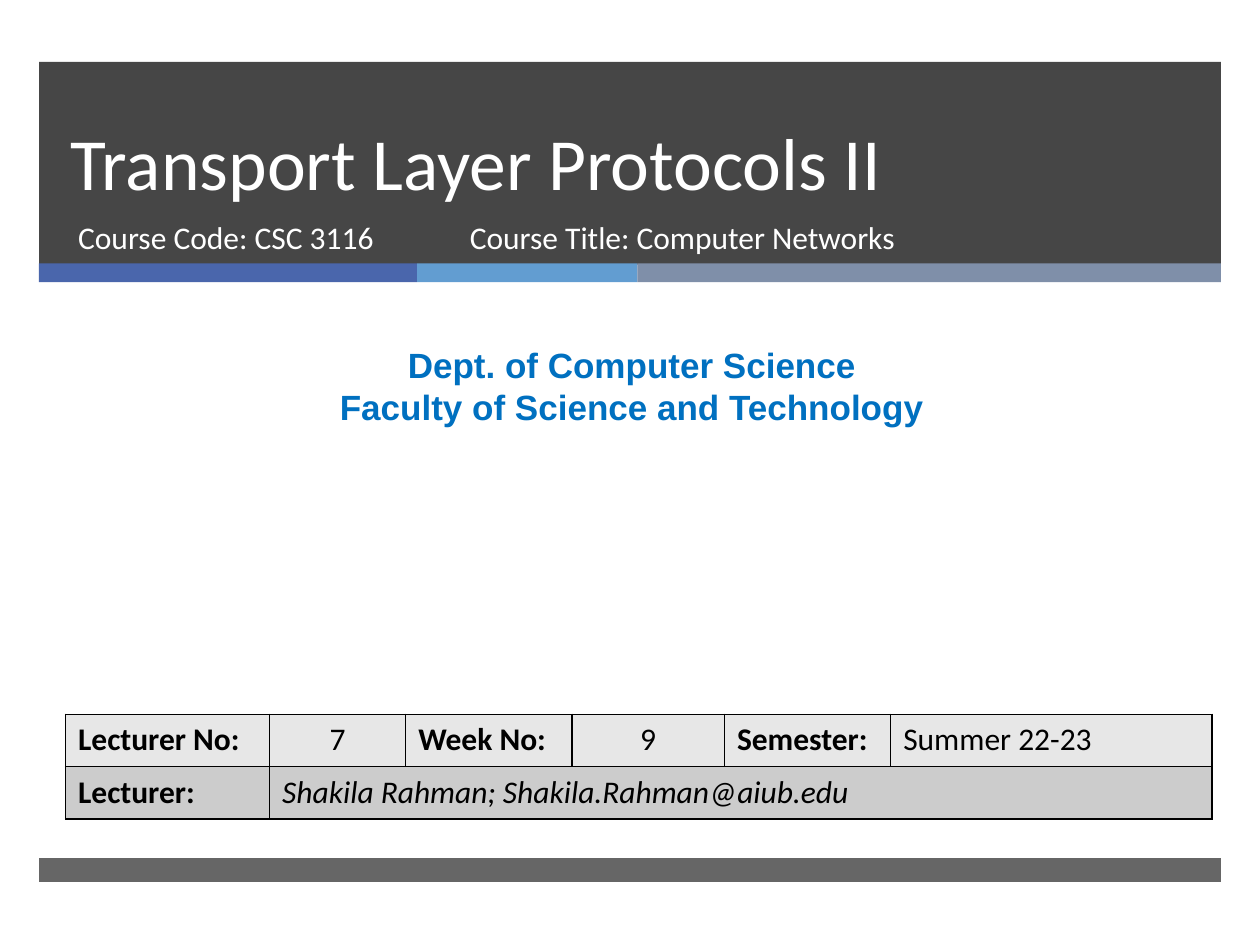
from dataclasses import dataclass

from lxml.etree import SubElement
from pptx import Presentation
from pptx.dml.color import RGBColor
from pptx.enum.shapes import MSO_SHAPE
from pptx.enum.text import MSO_ANCHOR, MSO_AUTO_SIZE, PP_ALIGN
from pptx.oxml import parse_xml
from pptx.oxml.ns import nsdecls, qn
from pptx.util import Inches, Pt

WHITE = RGBColor(0xFF, 0xFF, 0xFF)
BLACK = RGBColor(0, 0, 0)
CHARCOAL = RGBColor(0x26, 0x26, 0x26)
INDIGO = RGBColor(0x4A, 0x66, 0xAC)
SKY = RGBColor(0x62, 0x9D, 0xD1)
SLATE = RGBColor(0x7F, 0x8F, 0xA9)
DEPARTMENT_BLUE = RGBColor(0x00, 0x70, 0xC0)
ROW_FILLS = (RGBColor(0xE7, 0xE7, 0xE7), RGBColor(0xCC, 0xCC, 0xCC))

MARGIN = 0.31
STRIPE_TOP, STRIPE_HEIGHT = 2.09, 0.15
COURSE_TOP, COURSE_HEIGHT = 1.68, 0.53
COLUMN_WIDTHS = (1.62, 1.08, 1.32, 1.21, 1.32, 2.55)
ROW_HEIGHT = 0.415


@dataclass(frozen=True)
class Band:
    left: float
    top: float
    width: float
    height: float
    color: RGBColor
    opacity: int = 100


@dataclass(frozen=True)
class TextStyle:
    size: float
    color: RGBColor
    font: str = "Calibri"
    bold: bool = False
    italic: bool = False
    alignment: PP_ALIGN = PP_ALIGN.LEFT


@dataclass(frozen=True)
class Entry:
    text: str
    bold: bool = False
    italic: bool = False
    alignment: PP_ALIGN = PP_ALIGN.LEFT


COURSE_STYLE = TextStyle(18, WHITE)
LECTURE_ROWS = (
    (
        Entry("Lecturer No:", bold=True),
        Entry("7", alignment=PP_ALIGN.CENTER),
        Entry("Week No:", bold=True),
        Entry("9", alignment=PP_ALIGN.CENTER),
        Entry("Semester:", bold=True),
        Entry("Summer 22-23"),
    ),
    (
        Entry("Lecturer:", bold=True),
        Entry("Shakila Rahman; Shakila.Rahman@aiub.edu", italic=True),
    ),
)


def header_and_footer_bands() -> list[Band]:
    bands = [Band(MARGIN, 0.49, 9.38, 1.61, CHARCOAL, 85)]
    left = MARGIN
    for width, color in ((3, INDIGO), (1.75, SKY), (4.63, SLATE)):
        bands.append(Band(left, STRIPE_TOP, width, STRIPE_HEIGHT, color))
        left += width
    return bands + [Band(MARGIN, 6.81, 9.38, 0.19, CHARCOAL, 70)]


def draw_band(slide, band: Band) -> None:
    box = map(Inches, (band.left, band.top, band.width, band.height))
    shape = slide.shapes.add_shape(MSO_SHAPE.RECTANGLE, *box)
    shape.shadow.inherit = False
    shape.line.fill.background()
    shape.fill.solid()
    shape.fill.fore_color.rgb = band.color
    if band.opacity < 100:
        color = shape.element.spPr.find(qn("a:solidFill"))[0]
        SubElement(color, qn("a:alpha"), val=str(band.opacity * 1000))


def write_text(frame, lines: list[str], style: TextStyle) -> None:
    frame.text = "\n".join(lines)
    for paragraph in frame.paragraphs:
        paragraph.alignment = style.alignment
        paragraph.space_before = Pt(0)
        font = paragraph.font
        font.name, font.size = style.font, Pt(style.size)
        font.bold, font.italic = style.bold, style.italic
        font.color.rgb = style.color


def fill_text_shape(shape, box, lines, style: TextStyle, anchor=MSO_ANCHOR.TOP) -> None:
    shape.left, shape.top, shape.width, shape.height = map(Inches, box)
    frame = shape.text_frame
    frame.word_wrap = True
    frame.auto_size = MSO_AUTO_SIZE.NONE
    frame.vertical_anchor = anchor
    write_text(frame, lines, style)


def add_borders(cell) -> None:
    """Outline a cell on all sides; borders must precede the fill in tcPr."""
    properties = cell._tc.get_or_add_tcPr()
    for position, side in enumerate(("lnL", "lnR", "lnT", "lnB")):
        border = parse_xml(
            f'<a:{side} {nsdecls("a")} w="12700"><a:solidFill>'
            f'<a:srgbClr val="{BLACK}"/></a:solidFill></a:{side}>'
        )
        properties.insert(position, border)


def draw_lecture_table(slide) -> None:
    row_count, column_count = len(LECTURE_ROWS), len(COLUMN_WIDTHS)
    box = map(Inches, (0.52, 5.67, sum(COLUMN_WIDTHS), row_count * ROW_HEIGHT))
    table = slide.shapes.add_table(row_count, column_count, *box).table
    for column, width in zip(table.columns, COLUMN_WIDTHS):
        column.width = Inches(width)
    for row, entries, color in zip(table.rows, LECTURE_ROWS, ROW_FILLS):
        row.height = Inches(ROW_HEIGHT)
        for cell in row.cells:
            cell.fill.solid()
            cell.fill.fore_color.rgb = color
            add_borders(cell)
        for cell, entry in zip(row.cells, entries):
            style = TextStyle(18, BLACK, bold=entry.bold, italic=entry.italic,
                              alignment=entry.alignment)
            write_text(cell.text_frame, [entry.text], style)
    table.cell(1, 1).merge(table.cell(1, column_count - 1))


def main() -> None:
    presentation = Presentation()
    presentation.slide_width, presentation.slide_height = Inches(10), Inches(7.5)
    slide = presentation.slides.add_slide(presentation.slide_layouts[0])
    title, course_code = slide.placeholders

    for band in header_and_footer_bands():
        draw_band(slide, band)
    for placeholder in (title, course_code):
        placeholder.element.getparent().append(placeholder.element)  # above the bands

    fill_text_shape(title, (0.46, 0.49, 8.54, 1.19), ["Transport Layer Protocols II"],
                    TextStyle(42, WHITE), MSO_ANCHOR.BOTTOM)
    title.text_frame.paragraphs[0].line_spacing = Pt(46)
    fill_text_shape(course_code, (0.52, COURSE_TOP, 3.05, COURSE_HEIGHT),
                    ["Course Code: CSC 3116"], COURSE_STYLE)
    department = slide.shapes.add_textbox(0, 0, 0, 0)
    fill_text_shape(department, (0.08, 2.68, 9.87, 0.77),
                    ["Dept. of Computer Science", "Faculty of Science and Technology"],
                    TextStyle(20, DEPARTMENT_BLUE, "Arial", bold=True,
                              alignment=PP_ALIGN.CENTER))
    course_title = slide.shapes.add_textbox(0, 0, 0, 0)
    fill_text_shape(course_title, (3.63, COURSE_TOP, 4.55, COURSE_HEIGHT),
                    ["Course Title: Computer Networks"], COURSE_STYLE)
    draw_lecture_table(slide)
    presentation.save("out.pptx")


if __name__ == "__main__":
    main()
